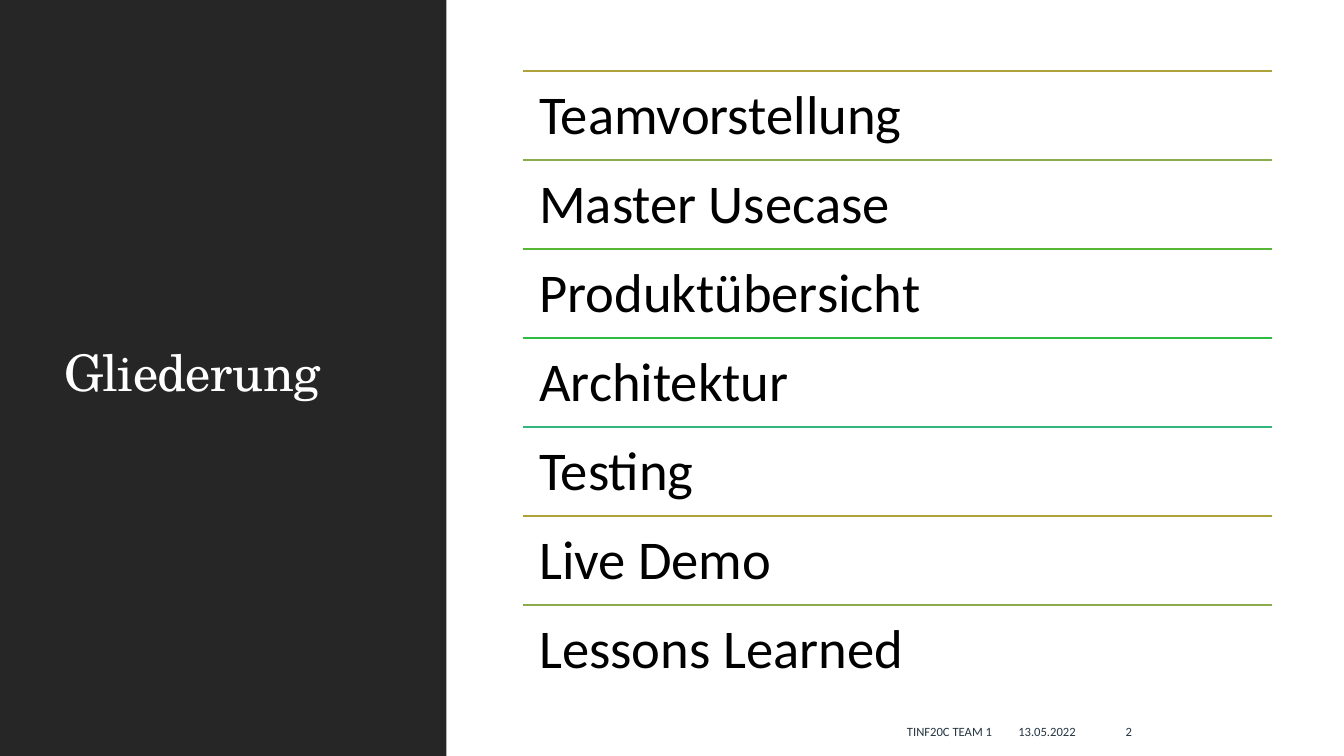
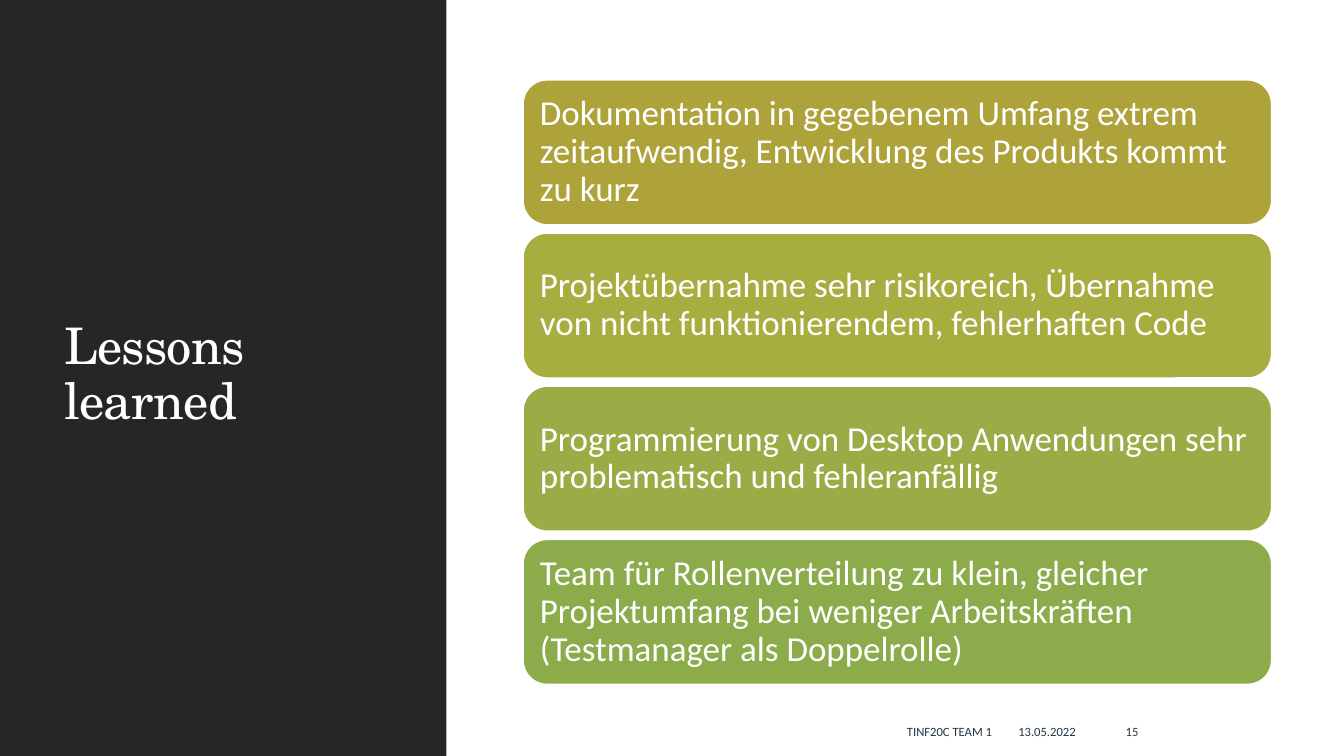
import pptx
import pptx.dml.color
import pptx.enum.shapes
import pptx.enum.text
import pptx.oxml.ns
import pptx.util
import lxml.etree

Cm = pptx.util.Cm
Pt = pptx.util.Pt
PP_ALIGN = pptx.enum.text.PP_ALIGN
MSO_ANCHOR = pptx.enum.text.MSO_ANCHOR

COLORS = {
    "panel": "262626",
    "white": "FFFFFF",
    "black": "000000",
    "footer": "243541",
    "ochre": "AEA33A",
    "olive": "A8AD3F",
    "moss": "99AC45",
    "leaf": "8CAB4A",
    "green": "57B636",
    "emerald": "2EBA43",
    "teal": "33B67D",
}
TITLE_FONT = "TeX Gyre Schola"
BODY_FONT = "Calibri"
SLIDE_WIDTH, SLIDE_HEIGHT = 33.87, 19.05
COLUMN_LEFT, COLUMN_WIDTH = 13.18, 18.87

AGENDA = ["Teamvorstellung", "Master Usecase", "Produktübersicht", "Architektur",
          "Testing", "Live Demo", "Lessons Learned"]
AGENDA_COLORS = ["ochre", "leaf", "green", "emerald", "teal"]
AGENDA_TOP, AGENDA_ROW = 1.78, 2.243

LESSONS = [
    ("Dokumentation in gegebenem Umfang extrem zeitaufwendig, "
     "Entwicklung des Produkts kommt zu kurz", "ochre"),
    ("Projektübernahme sehr risikoreich, Übernahme von nicht "
     "funktionierendem, fehlerhaften Code", "olive"),
    ("Programmierung von Desktop Anwendungen sehr problematisch "
     "und fehleranfällig", "moss"),
    ("Team für Rollenverteilung zu klein, gleicher Projektumfang bei weniger "
     "Arbeitskräften (Testmanager als Doppelrolle)", "leaf"),
]
LESSON_TOP, LESSON_HEIGHT, LESSON_GAP = 2.01, 3.66, 0.2


def rgb(name):
    return pptx.dml.color.RGBColor.from_string(COLORS[name])


def write(shape, text, size, color, font=BODY_FONT, align=PP_ALIGN.LEFT,
          anchor=MSO_ANCHOR.MIDDLE, inset=None, line_spacing=None):
    frame = shape.text_frame
    frame.word_wrap = True
    frame.vertical_anchor = anchor
    if inset is not None:
        frame.margin_left = frame.margin_right = Cm(inset)
        frame.margin_top = frame.margin_bottom = Cm(inset)
    frame.text = text
    paragraph = frame.paragraphs[0]
    paragraph.alignment = align
    paragraph.line_spacing = line_spacing
    run = paragraph.runs[0]
    run.font.name = font
    run.font.size = Pt(size)
    run.font.color.rgb = rgb(color)
    return run


def add_text(slide, left, top, width, height, text, size, color, **style):
    box = slide.shapes.add_textbox(Cm(left), Cm(top), Cm(width), Cm(height))
    return write(box, text, size, color, **style)


def add_block(slide, kind, left, top, width, height, fill, outline=None):
    block = slide.shapes.add_shape(kind, Cm(left), Cm(top), Cm(width), Cm(height))
    block.shadow.inherit = False
    block.fill.solid()
    block.fill.fore_color.rgb = rgb(fill)
    if outline:
        block.line.color.rgb = rgb(outline)
        block.line.width = Pt(1.25)
    else:
        block.line.fill.background()
    return block


def add_rule(slide, left, top, width, color):
    rule = slide.shapes.add_connector(
        pptx.enum.shapes.MSO_CONNECTOR.STRAIGHT,
        Cm(left), Cm(top), Cm(left + width), Cm(top))
    rule.line.color.rgb = rgb(color)
    rule.line.width = Pt(1.25)
    lxml.etree.SubElement(rule._element.spPr, pptx.oxml.ns.qn("a:effectLst"))


def add_footer(slide, number):
    top, height = 17.93, 1.02
    for text, left, width, align in [
        ("TINF20C TEAM 1", 20.25, 5, PP_ALIGN.RIGHT),
        ("13.05.2022", 24.36, 3, PP_ALIGN.RIGHT),
        (str(number), 28.12, 3.02, PP_ALIGN.LEFT),
    ]:
        add_text(slide, left, top, width, height, text, 9, "footer", align=align)


def add_panel_slide(deck, title, number):
    slide = deck.slides.add_slide(deck.slide_layouts[6])
    slide.background.fill.solid()
    slide.background.fill.fore_color.rgb = rgb("white")
    add_block(slide, pptx.enum.shapes.MSO_SHAPE.RECTANGLE,
              0, 0, 11.25, SLIDE_HEIGHT, "panel")
    heading = add_text(slide, 1.37, 1.45, 8.56, 16.03, title, 36, "white",
                       font=TITLE_FONT, line_spacing=0.9)
    heading._r.get_or_add_rPr().set("spc", "-50")
    add_footer(slide, number)
    return slide


def add_agenda(slide):
    for index, topic in enumerate(AGENDA):
        top = AGENDA_TOP + index * AGENDA_ROW
        color = AGENDA_COLORS[index % len(AGENDA_COLORS)]
        add_rule(slide, COLUMN_LEFT, top, COLUMN_WIDTH, color)
        add_text(slide, COLUMN_LEFT, top, COLUMN_WIDTH, AGENDA_ROW, topic, 39,
                 "black", anchor=MSO_ANCHOR.TOP, inset=0.41, line_spacing=0.9)


def add_lessons(slide):
    for index, (lesson, color) in enumerate(LESSONS):
        top = LESSON_TOP + index * (LESSON_HEIGHT + LESSON_GAP)
        card = add_block(slide, pptx.enum.shapes.MSO_SHAPE.ROUNDED_RECTANGLE,
                         COLUMN_LEFT, top, COLUMN_WIDTH, LESSON_HEIGHT,
                         color, outline="white")
        write(card, lesson, 25, "white", inset=0.25, line_spacing=0.9)


def main():
    deck = pptx.Presentation()
    deck.slide_width = Cm(SLIDE_WIDTH)
    deck.slide_height = Cm(SLIDE_HEIGHT)
    add_agenda(add_panel_slide(deck, "Gliederung", 2))
    add_lessons(add_panel_slide(deck, "Lessons learned", 15))
    deck.save("out.pptx")


if __name__ == "__main__":
    main()
